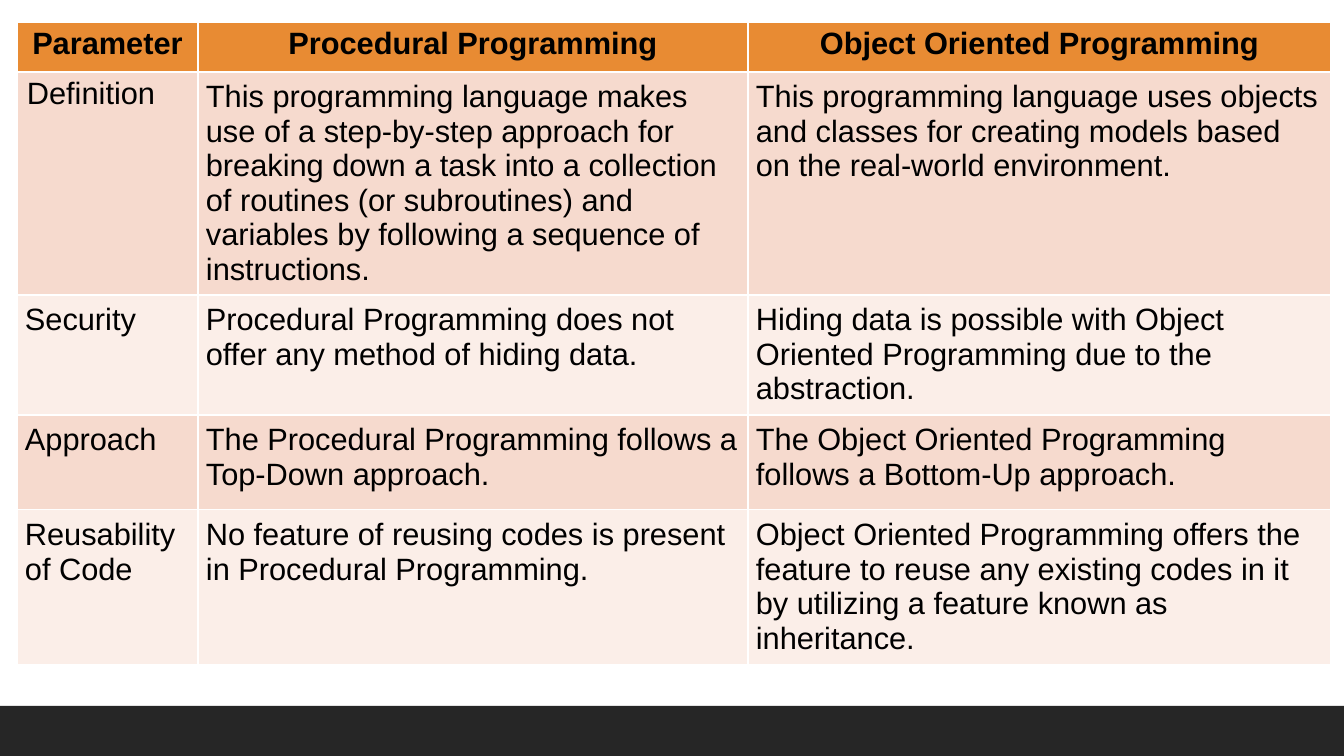
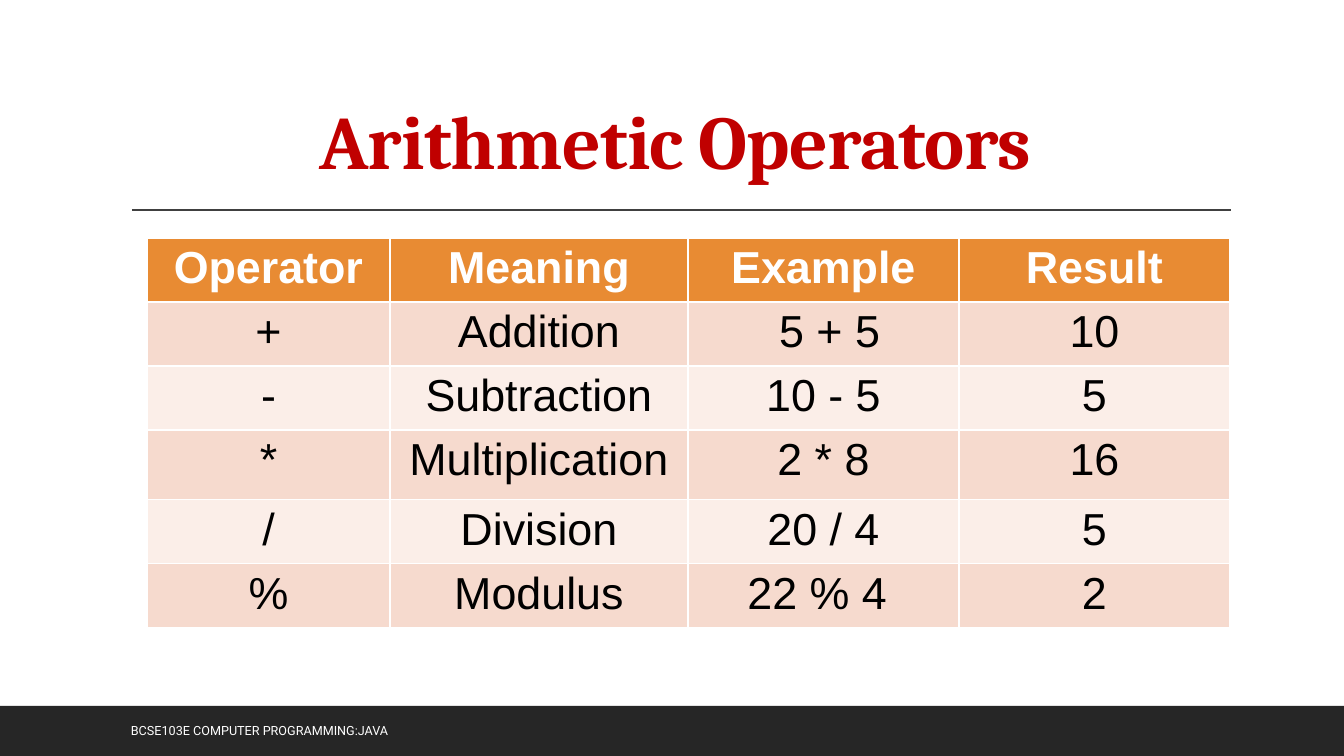
import pptx
import pptx.dml.color
import pptx.enum.shapes
import pptx.enum.text
import pptx.oxml
import pptx.util

EMU_PER_PX = 914400 / 100.8
SLIDE_WIDTH, SLIDE_HEIGHT = 1344, 756
TITLE_ONLY, BLANK = 5, 6
BAND_TOP, BAND_HEIGHT = 706, 50

BLACK, WHITE = "000000", "FFFFFF"
BAND_COLOR, RULE_COLOR = "262626", "404040"
HEADER_FILL = "E88B33"
ROW_FILLS = ("F6DACE", "FBEEE8")

CENTER = pptx.enum.text.PP_ALIGN.CENTER
LEFT = pptx.enum.text.PP_ALIGN.LEFT
MIDDLE = pptx.enum.text.MSO_ANCHOR.MIDDLE
BOTTOM = pptx.enum.text.MSO_ANCHOR.BOTTOM

TITLE_FORMAT = {"name": "Cambria", "size": 54, "bold": True, "color": "C00000"}
FOOTER_FORMAT = {"name": "Roboto", "size": 9, "bold": False, "color": WHITE}

COMPARISON = [
    ["Parameter", "Procedural Programming", "Object Oriented Programming"],
    ["Definition",
     "This programming language makes use of a step-by-step approach for breaking down "
     "a task into a collection of routines (or subroutines) and variables by following "
     "a sequence of instructions.",
     "This programming language uses objects and classes for creating models based on "
     "the real-world environment."],
    ["Security",
     "Procedural Programming does not offer any method of hiding data.",
     "Hiding data is possible with Object Oriented Programming due to the abstraction."],
    ["Approach",
     "The Procedural Programming follows a Top-Down approach.",
     "The Object Oriented Programming follows a Bottom-Up approach."],
    ["Reusability of Code",
     "No feature of reusing codes is present in Procedural Programming.",
     "Object Oriented Programming offers the feature to reuse any existing codes in it "
     "by utilizing a feature known as inheritance."],
]

OPERATORS = [
    ["Operator", "Meaning", "Example", "Result"],
    ["+", "Addition", " 5 + 5", "10"],
    ["-", "Subtraction", "10 - 5", "5"],
    ["*", "Multiplication", "2 * 8", "16"],
    ["/", "Division", "20 / 4", "5"],
    ["%", "Modulus", "22 % 4 ", "2"],
]


def px(length):
    return pptx.util.Emu(round(length * EMU_PER_PX))


def rgb(color):
    return pptx.dml.color.RGBColor.from_string(color)


def write(text_frame, text, text_format, alignment):
    """Fill a text frame with one formatted paragraph and return its run."""
    paragraph = text_frame.paragraphs[0]
    paragraph.alignment = alignment
    run = paragraph.add_run()
    run.text = text
    values = dict(text_format)
    run.font.color.rgb = rgb(values.pop("color"))
    values["size"] = pptx.util.Pt(values["size"])
    for name, value in values.items():
        setattr(run.font, name, value)
    return run


def add_slide(presentation, layout):
    """Add a slide with the dark band that all slides share."""
    slide = presentation.slides.add_slide(presentation.slide_layouts[layout])
    band = slide.shapes.add_shape(
        pptx.enum.shapes.MSO_SHAPE.RECTANGLE,
        px(0), px(BAND_TOP), px(SLIDE_WIDTH), px(BAND_HEIGHT))
    band.shadow.inherit = False
    band.fill.solid()
    band.fill.fore_color.rgb = rgb(BAND_COLOR)
    band.line.fill.background()
    return slide


def set_title(slide, text):
    """Place the title at the top, with a rule below it."""
    title = slide.shapes.title
    title.left, title.top, title.width, title.height = map(px, (121, 31, 1109, 160))
    frame = title.text_frame
    frame.auto_size = pptx.enum.text.MSO_AUTO_SIZE.NONE
    frame.vertical_anchor = BOTTOM
    run = write(frame, text, TITLE_FORMAT, CENTER)
    run.font._element.set("spc", "-50")
    frame.paragraphs[0].line_spacing = 0.9

    rule = slide.shapes.add_connector(
        pptx.enum.shapes.MSO_CONNECTOR.STRAIGHT, px(132), px(210), px(1231), px(210))
    rule.line.color.rgb = rgb(RULE_COLOR)
    rule.line.width = pptx.util.Pt(1)
    rule._element.spPr.append(pptx.oxml.parse_xml(
        '<a:effectLst xmlns:a="http://schemas.openxmlformats.org/drawingml/2006/main"/>'))


def set_margins(cell, horizontal, vertical):
    cell.margin_left = cell.margin_right = px(horizontal)
    cell.margin_top = cell.margin_bottom = px(vertical)


def add_table(slide, left, top, widths, heights, rows, size, header_color, body_alignment):
    """Add a table with a coloured header row and banded body rows."""
    table = slide.shapes.add_table(
        len(rows), len(widths), px(left), px(top), px(sum(widths)), px(sum(heights))).table
    for column, width in zip(table.columns, widths):
        column.width = px(width)
    for row, height in zip(table.rows, heights):
        row.height = px(height)
    for row_index, texts in enumerate(rows):
        header = row_index == 0
        fill = HEADER_FILL if header else ROW_FILLS[(row_index - 1) % 2]
        text_format = {"name": "Arial", "size": size, "bold": header,
                       "color": header_color if header else BLACK}
        for column_index, text in enumerate(texts):
            cell = table.cell(row_index, column_index)
            cell.fill.solid()
            cell.fill.fore_color.rgb = rgb(fill)
            set_margins(cell, 10, 5)
            write(cell.text_frame, text, text_format, CENTER if header else body_alignment)
    return table


def add_footer(slide, text):
    box = slide.shapes.add_textbox(px(121), px(711), px(752), px(40))
    box.text_frame.word_wrap = True
    box.text_frame.vertical_anchor = MIDDLE
    write(box.text_frame, text, FOOTER_FORMAT, LEFT)


def build_comparison(presentation):
    slide = add_slide(presentation, BLANK)
    table = add_table(slide, 17, 22, (181, 550, 583), (50, 223, 120, 95, 155),
                      COMPARISON, 22, BLACK, LEFT)
    for row_index in range(1, len(COMPARISON)):
        for column_index in range(len(COMPARISON[0])):
            if (row_index, column_index) != (1, 0):
                set_margins(table.cell(row_index, column_index), 8, 8)


def build_operators(presentation):
    slide = add_slide(presentation, TITLE_ONLY)
    set_title(slide, "Arithmetic Operators")
    add_table(slide, 147, 238, (243, 298, 271, 271), (64, 64, 64, 70, 64, 64),
              OPERATORS, 32, WHITE, CENTER)
    add_footer(slide, "BCSE103E COMPUTER PROGRAMMING:JAVA")


def main():
    presentation = pptx.Presentation()
    presentation.slide_width = px(SLIDE_WIDTH)
    presentation.slide_height = px(SLIDE_HEIGHT)
    build_comparison(presentation)
    build_operators(presentation)
    presentation.save("out.pptx")


if __name__ == "__main__":
    main()
